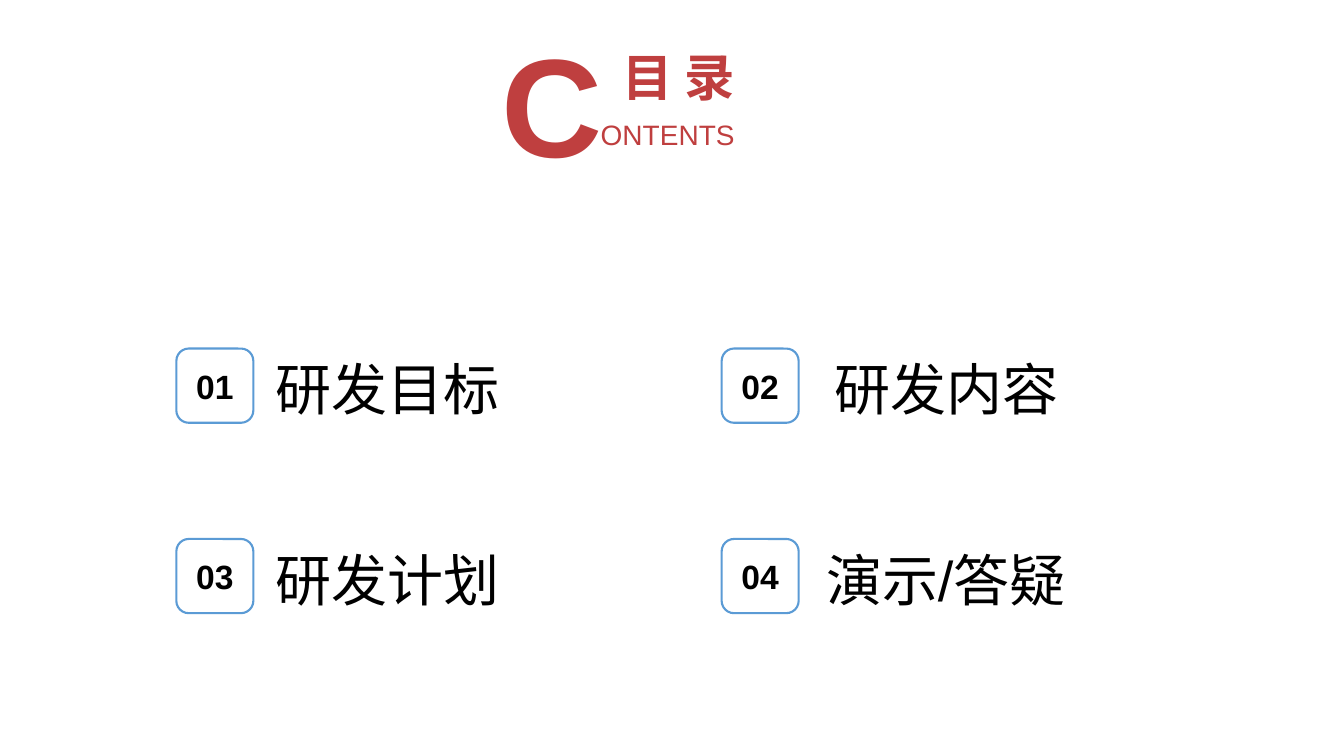
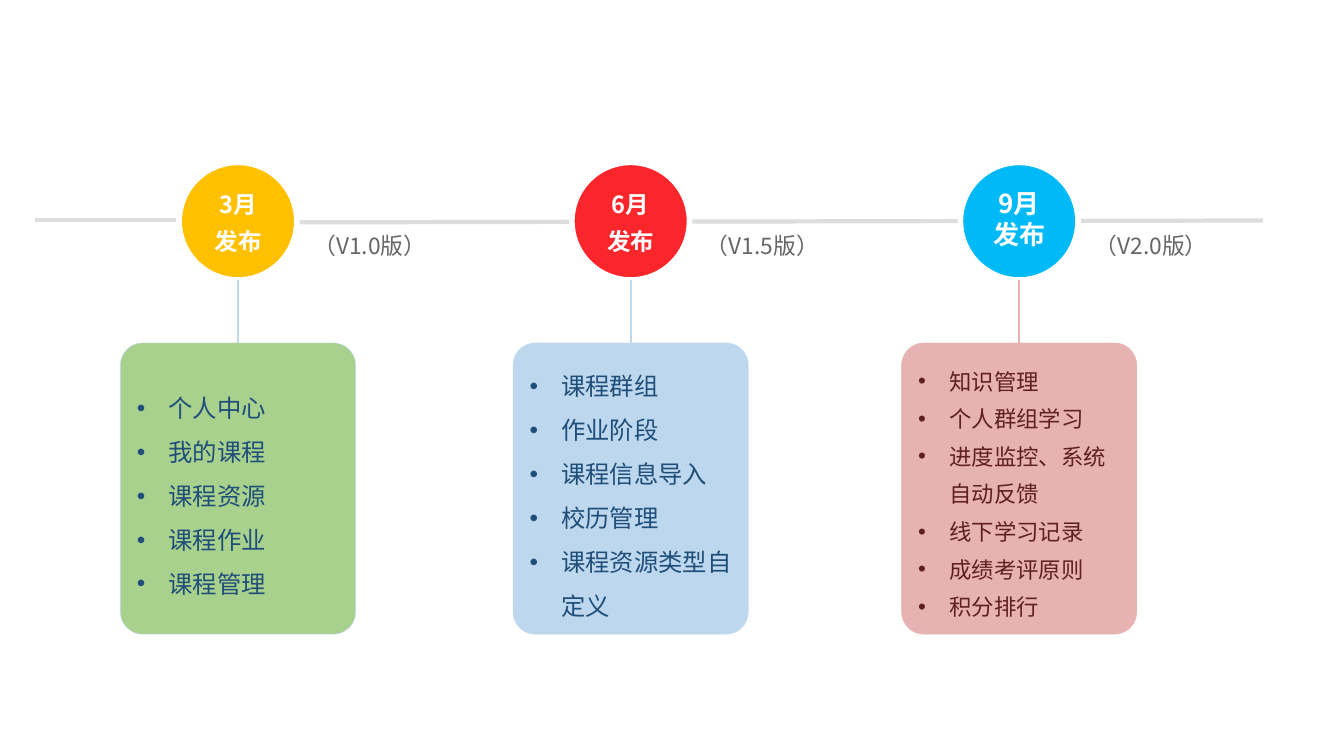
"""Build a contents slide and a release timeline slide."""
from lxml.etree import SubElement
from pptx import Presentation
from pptx.dml.color import RGBColor
from pptx.enum.shapes import MSO_CONNECTOR, MSO_SHAPE
from pptx.enum.text import MSO_ANCHOR, PP_ALIGN
from pptx.oxml.ns import qn
from pptx.util import Pt

LATIN = "Arial"
CJK = "Noto Sans CJK SC"

BLACK = RGBColor(0x00, 0x00, 0x00)
WHITE = RGBColor(0xFF, 0xFF, 0xFF)
BRICK = RGBColor(0xBF, 0x3F, 0x3F)
BLUE = RGBColor(0x5B, 0x9B, 0xD5)
NAVY = RGBColor(0x1F, 0x4E, 0x79)
MAROON = RGBColor(0x60, 0x20, 0x20)
GREY = RGBColor(0x66, 0x66, 0x66)
SILVER = RGBColor(0xDD, 0xDD, 0xDD)
AMBER = RGBColor(0xFF, 0xC0, 0x00)
RED = RGBColor(0xFB, 0x26, 0x2C)
CYAN = RGBColor(0x00, 0xBA, 0xF7)
GREEN = RGBColor(0xA9, 0xD1, 0x8E)
PALE_BLUE = RGBColor(0xBD, 0xD7, 0xEE)
PINK = RGBColor(0xE6, 0xB2, 0xB2)

BADGE_W, BADGE_H = 55, 53
BADGE_XS = (126, 515.5)
BADGE_YS = (249, 385)
TOPICS = [("研发目标", 189.5), ("研发内容", 589), ("研发计划", 190), ("演示/答疑", 583)]

CIRCLE = 84
CIRCLE_Y = 116
PANEL_W, PANEL_H = 168, 208
PANEL_Y = 245
BULLET_INDENT = 22.5

RELEASES = [
    dict(x=170, month="3月", version="（V1.0版）", circle=AMBER, panel=GREEN,
         edge=PALE_BLUE, ink=NAVY, head=(16.8, 1.3), body=(17.4, 1.5),
         items=["个人中心", "我的课程", "课程资源", "课程作业", "课程管理"]),
    dict(x=450.5, month="6月", version="（V1.5版）", circle=RED, panel=PALE_BLUE,
         edge=PALE_BLUE, ink=NAVY, head=(16.8, 1.3), body=(17.4, 1.5),
         items=["课程群组", "作业阶段", "课程信息导入", "校历管理", "课程资源类型自定义"]),
    dict(x=728, month="9月", version="（V2.0版）", circle=CYAN, panel=PINK,
         edge=PINK, ink=MAROON, head=(18.6, 1.0), body=(16, 1.4),
         items=["知识管理", "个人群组学习", "进度监控、系统自动反馈",
                "线下学习记录", "成绩考评原则", "积分排行"]),
]


def add_bullet(p):
    """Give a paragraph a hanging round bullet."""
    pPr = p._p.get_or_add_pPr()
    pPr.set("marL", str(Pt(BULLET_INDENT)))
    pPr.set("indent", str(-Pt(BULLET_INDENT)))
    SubElement(pPr, qn("a:buFont")).set("typeface", LATIN)
    SubElement(pPr, qn("a:buChar")).set("char", "•")


def write(sp, lines, size, color, font=LATIN, bold=False, align=PP_ALIGN.LEFT,
          anchor=MSO_ANCHOR.TOP, margins=(7.2, 3.6, 7.2, 3.6), spacing=1.0,
          bullets=False):
    """Fill a shape with one formatted paragraph per line."""
    tf = sp.text_frame
    tf.text = "\n".join(lines)
    tf.word_wrap = True
    tf.vertical_anchor = anchor
    (tf.margin_left, tf.margin_top,
     tf.margin_right, tf.margin_bottom) = map(Pt, margins)
    for p in tf.paragraphs:
        p.alignment = align
        p.line_spacing = spacing
        if bullets:
            add_bullet(p)
        for r in p.runs:
            r.font.size = Pt(size)
            r.font.bold = bold
            r.font.color.rgb = color
            r.font.name = font
            SubElement(r.font._element, qn("a:ea")).set("typeface", CJK)


def add_text(s, box, text, size, color, **style):
    """Add a text box."""
    write(s.shapes.add_textbox(*map(Pt, box)), [text], size, color, **style)


def add_box(s, kind, box, fill, line, width):
    """Add a preset shape with a flat fill and outline."""
    sp = s.shapes.add_shape(kind, *map(Pt, box))
    sp.shadow.inherit = False
    if fill is None:
        sp.fill.background()
    else:
        sp.fill.solid()
        sp.fill.fore_color.rgb = fill
    sp.line.color.rgb = line
    sp.line.width = Pt(width)
    return sp


def add_line(s, start, end, color, width):
    """Add a straight connector without a shadow."""
    cx = s.shapes.add_connector(MSO_CONNECTOR.STRAIGHT, *map(Pt, start + end))
    cx.line.color.rgb = color
    cx.line.width = Pt(width)
    SubElement(cx._element.spPr, qn("a:effectLst"))
    return cx


def add_topic(s, i, topic, label_x):
    """Add a numbered badge and its topic on the two-column grid."""
    row, col = divmod(i, 2)
    x, y = BADGE_XS[col], BADGE_YS[row]
    sp = add_box(s, MSO_SHAPE.ROUNDED_RECTANGLE, (x, y, BADGE_W, BADGE_H),
                 None, BLUE, 1.5)
    write(sp, [f"{i + 1:02}"], 24, BLACK, bold=True,
          align=PP_ALIGN.CENTER, anchor=MSO_ANCHOR.MIDDLE)
    add_text(s, (label_x, y, 250, 56), topic, 40, BLACK, anchor=MSO_ANCHOR.BOTTOM)


def add_release(s, x, month, version, circle, panel, edge, ink, head, body, items):
    """Add a milestone circle, its version label and its feature panel."""
    sp = add_box(s, MSO_SHAPE.OVAL, (x - CIRCLE / 2, CIRCLE_Y, CIRCLE, CIRCLE),
                 circle, WHITE, 4)
    write(sp, [month, "发布"], head[0], WHITE, font=CJK, bold=True,
          align=PP_ALIGN.CENTER, anchor=MSO_ANCHOR.MIDDLE,
          margins=(0, 0, 0, 3.6), spacing=head[1])
    sp = add_box(s, MSO_SHAPE.ROUNDED_RECTANGLE,
                 (x - PANEL_W / 2, PANEL_Y, PANEL_W, PANEL_H), panel, edge, 0.25)
    sp.adjustments[0] = 0.095
    write(sp, items, body[0], ink, font=CJK, anchor=MSO_ANCHOR.MIDDLE,
          spacing=body[1], bullets=True)
    stem = add_line(s, (x, CIRCLE_Y + CIRCLE), (x, PANEL_Y), edge, 1.5)
    stem.end_connect(sp, 0)
    add_text(s, (x + CIRCLE / 2, 160.5, 104.5, 36), version, 16.3, GREY, font=CJK,
             align=PP_ALIGN.CENTER, margins=(9.4, 5, 9.4, 5))


def build_contents(s):
    """Build the contents slide."""
    add_text(s, (422, 24.5, 126, 55.5), "目 录", 36, BRICK, bold=True,
             align=PP_ALIGN.CENTER, anchor=MSO_ANCHOR.BOTTOM)
    add_text(s, (284, 0, 146.5, 145), "C", 100, BRICK, bold=True,
             align=PP_ALIGN.RIGHT, anchor=MSO_ANCHOR.MIDDLE, margins=(0, 0, 0, 0))
    add_text(s, (422, 80.5, 126, 31.5), "ONTENTS", 20, BRICK,
             align=PP_ALIGN.JUSTIFY)
    for i, (topic, label_x) in enumerate(TOPICS):
        add_topic(s, i, topic, label_x)


def build_timeline(s):
    """Build the release timeline slide."""
    add_line(s, (25, 157), (126, 157), SILVER, 3)
    add_line(s, (128, 159), (902, 157.5), SILVER, 3)
    for release in RELEASES:
        add_release(s, **release)


def main():
    """Build and save the presentation."""
    prs = Presentation()
    prs.slide_width, prs.slide_height = Pt(960), Pt(540)
    for build in (build_contents, build_timeline):
        build(prs.slides.add_slide(prs.slide_layouts[6]))
    prs.save("out.pptx")


if __name__ == "__main__":
    main()
